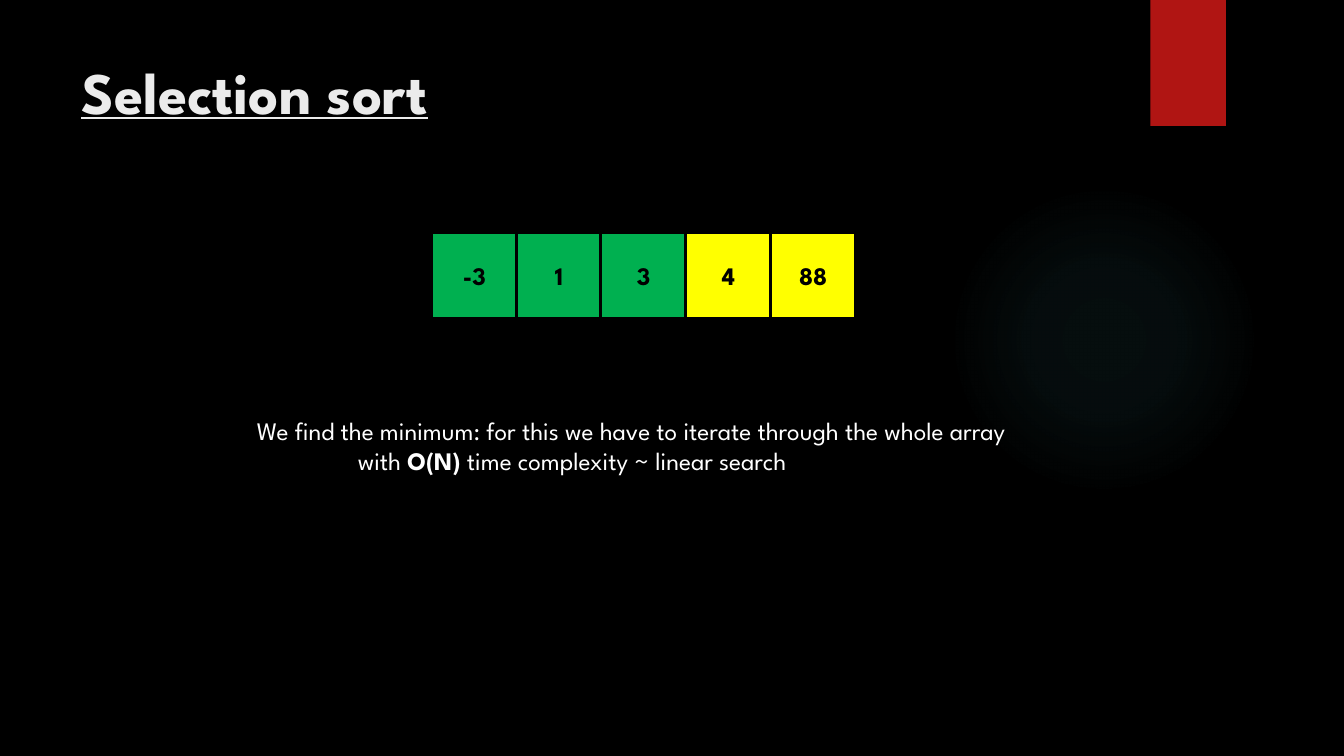
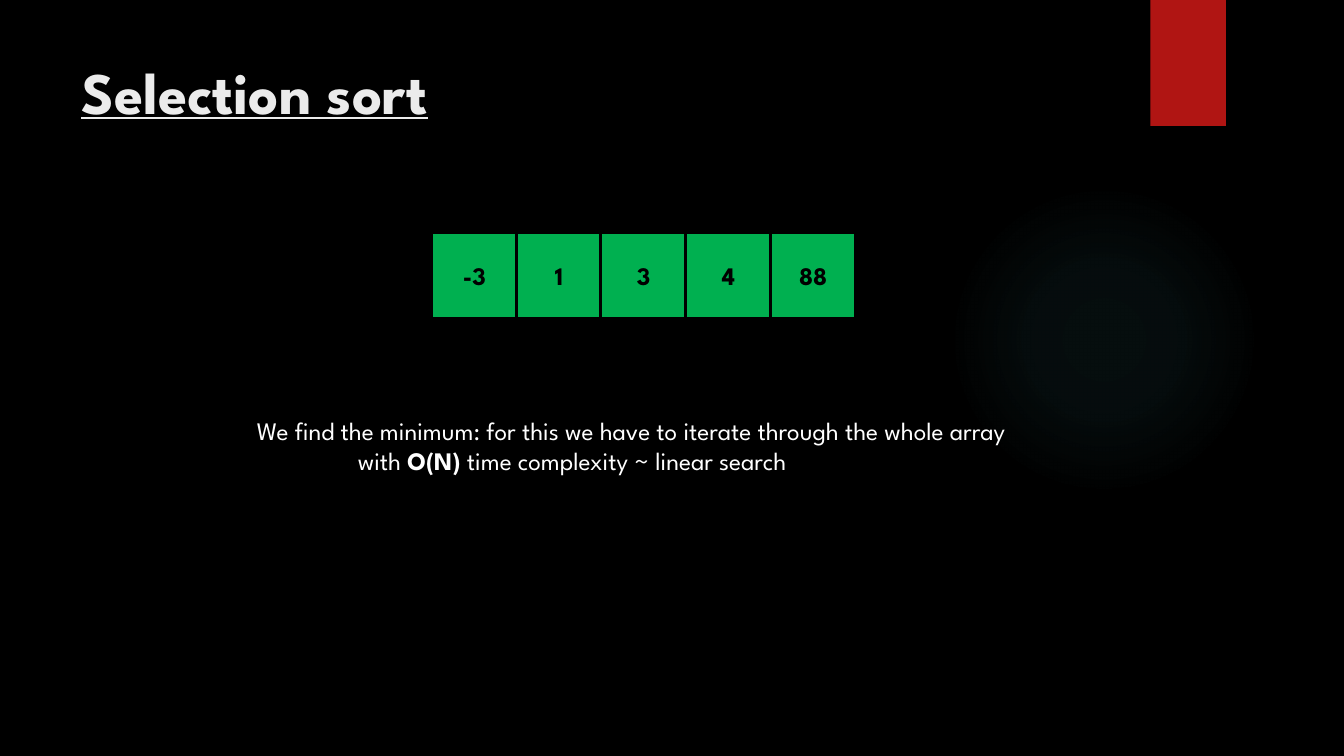
"""Build two slides that show the last steps of selection sort."""
from pptx import Presentation
from pptx.dml.color import RGBColor
from pptx.enum.shapes import MSO_SHAPE as Shape
from pptx.enum.text import MSO_ANCHOR as Anchor, PP_ALIGN as Align
from pptx.oxml import parse_xml
from pptx.oxml.ns import nsdecls, qn
from pptx.util import Inches, Pt

TITLE = "Selection sort"
VALUES = ["-3", "1", "3", "4", "88"]
SORTED = [3, 5]
NOTE = [
    (0, [("We find the minimum: for this we have to iterate through the whole array", False)]),
    (1, [("with ", False), ("O(N)", True), (" time complexity ~ linear search", False)]),
]

FONT = "League Spartan"
HUES = {
    "back": "000000", "title": "EBEBEB", "text": "FFFFFF", "ink": "000000",
    "flag": "B01513", "glow": "50B9C1", "done": "00B050", "open": "FFFF00",
}
GLOW = [(0, 7), (36, 6), (69, 0)]
LEFT, TOP, SIDE, STEP = 4.28, 2.31, 0.85, 0.84


def hue(name):
    return RGBColor.from_string(HUES[name])


def add_run(para, text, size, color, bold=False, under=False):
    run = para.add_run()
    run.text = text
    font = run.font
    font.name, font.size, font.bold = FONT, Pt(size), bold
    font.color.rgb = hue(color)
    if under:
        font.underline = True


def add_form(slide, kind, box, color=None):
    form = slide.shapes.add_shape(kind, *map(Inches, box))
    form.shadow.inherit = False
    form.line.fill.background()
    if color:
        form.fill.solid()
        form.fill.fore_color.rgb = hue(color)
    else:
        form.fill.background()
    return form


def add_text(slide, box):
    frame = slide.shapes.add_textbox(*map(Inches, box)).text_frame
    frame.word_wrap = True
    return frame


def add_glow(slide):
    props = add_form(slide, Shape.OVAL, (9.41, 1.83, 3.08, 3.08))._element.spPr
    stops = "".join(
        f'<a:gs pos="{pos * 1000}"><a:srgbClr val="{HUES["glow"]}">'
        f'<a:alpha val="{alpha * 1000}"/></a:srgbClr></a:gs>'
        for pos, alpha in GLOW)
    fill = parse_xml(
        f'<a:gradFill {nsdecls("a")}><a:gsLst>{stops}</a:gsLst><a:path path="circle">'
        '<a:fillToRect l="50000" t="50000" r="50000" b="50000"/></a:path></a:gradFill>')
    props.replace(props.find(qn("a:noFill")), fill)


def add_frame(slide):
    add_glow(slide)
    add_form(slide, Shape.RECTANGLE, (11.41, 0, 0.75, 1.25), "flag")
    para = add_text(slide, (0.71, 0.5, 10.29, 1.53)).paragraphs[0]
    add_run(para, TITLE, 42, "title", bold=True, under=True)


def add_cells(slide, done):
    for i, value in enumerate(VALUES):
        box = (LEFT + i * STEP, TOP, SIDE, SIDE)
        cell = add_form(slide, Shape.RECTANGLE, box, "done" if i < done else "open")
        cell.line.color.rgb = hue("back")
        cell.line.width = Pt(2.25)
        frame = cell.text_frame
        frame.vertical_anchor = Anchor.MIDDLE
        para = frame.paragraphs[0]
        para.alignment = Align.CENTER
        add_run(para, value, 18, "ink", bold=True)


def add_note(slide):
    frame = add_text(slide, (2.45, 4.07, 9.08, 0.7))
    for i, (indent, runs) in enumerate(NOTE):
        para = frame.add_paragraph() if i else frame.paragraphs[0]
        para._p.get_or_add_pPr().set("marL", str(Inches(indent)))
        for text, bold in runs:
            add_run(para, text, 18, "text", bold)


def main():
    deck = Presentation()
    deck.slide_width, deck.slide_height = Inches(13.33), Inches(7.5)
    back = deck.slide_master.background.fill
    back.solid()
    back.fore_color.rgb = hue("back")
    for done in SORTED:
        slide = deck.slides.add_slide(deck.slide_layouts[6])
        add_frame(slide)
        add_cells(slide, done)
        add_note(slide)
    deck.save("out.pptx")


if __name__ == "__main__":
    main()
